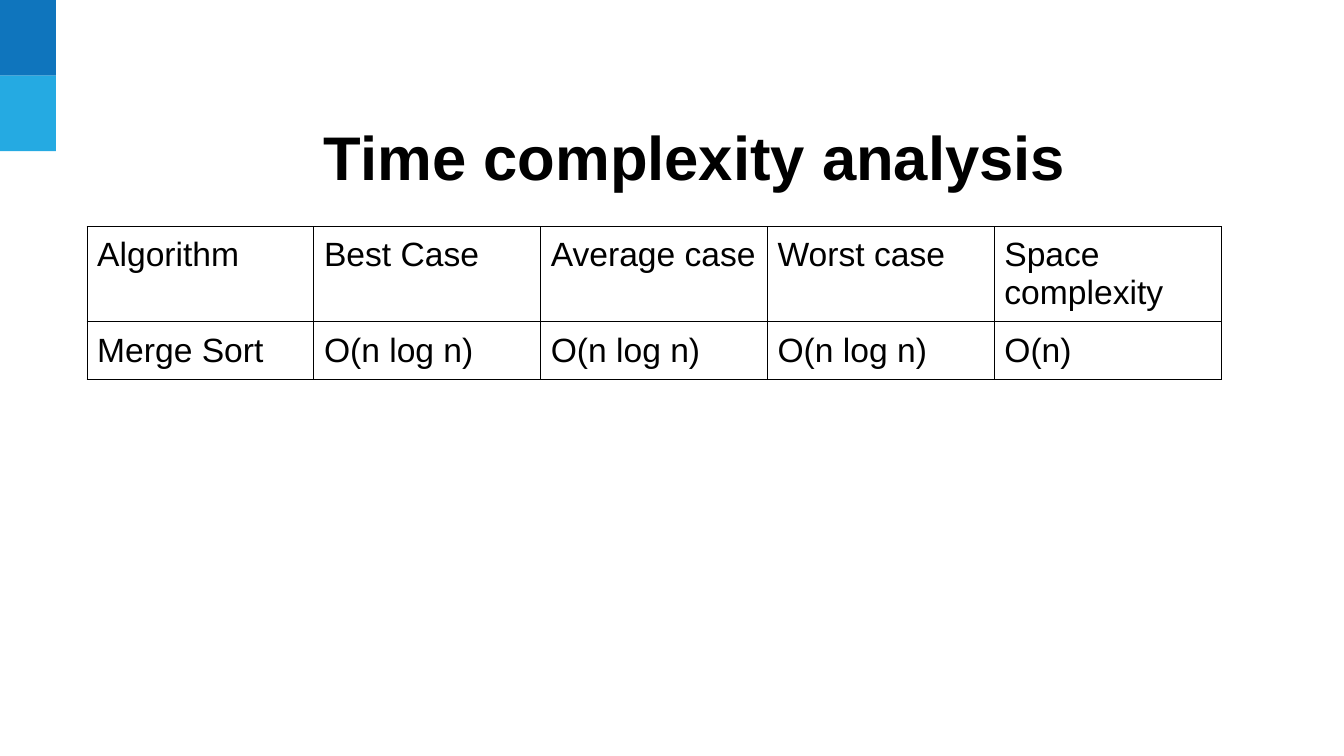
from dataclasses import dataclass

from lxml import etree
from pptx import Presentation
from pptx.dml.color import RGBColor
from pptx.enum.shapes import MSO_SHAPE
from pptx.enum.text import MSO_ANCHOR, PP_ALIGN
from pptx.oxml.ns import qn
from pptx.util import Pt

RECT = MSO_SHAPE.RECTANGLE
MIDDLE = MSO_ANCHOR.MIDDLE
CENTER, LEFT = PP_ALIGN.CENTER, PP_ALIGN.LEFT
COLORS = {"dark": "0F75BD", "light": "25AAE2", "ink": "000000"}
HEAD = {"name": "Arial", "size": Pt(44), "bold": True}
BODY = {"name": "Arial", "size": Pt(24), "bold": False}
PAD = {f"margin_{side}": Pt(7.2) for side in ("left", "right", "top", "bottom")}
ROWS = (
    ("Algorithm", "Best Case", "Average case", "Worst case", "Space complexity"),
    ("Merge Sort", "O(n log n)", "O(n log n)", "O(n log n)", "O(n)"),
)
COL, ROW = 162, 30


@dataclass
class Block:
    """A coloured block in the corner, with its top in points."""
    top: float
    color: str


BLOCKS = (Block(0, "dark"), Block(54, "light"))


def apply(item, form: dict) -> None:
    """Set each attribute named in the format on the item."""
    for key, value in form.items():
        setattr(item, key, value)


def write(frame, text: str, form: dict, align) -> None:
    """Put one formatted line of text into a frame."""
    line = frame.paragraphs[0]
    line.alignment = align
    run = line.add_run()
    run.text = text
    apply(run.font, form)
    run.font.color.rgb = RGBColor.from_string(COLORS["ink"])


def draw_block(slide, block: Block) -> None:
    """Draw one corner block."""
    shape = slide.shapes.add_shape(RECT, 0, Pt(block.top), Pt(40), Pt(54))
    shape.shadow.inherit = False
    shape.fill.solid()
    shape.fill.fore_color.rgb = RGBColor.from_string(COLORS[block.color])
    shape.line.fill.background()


def draw_title(slide, text: str) -> None:
    """Place and write the slide title."""
    title = slide.shapes.title
    apply(title, {"left": Pt(181.5), "top": Pt(78.5), "width": Pt(630), "height": Pt(65)})
    apply(title.text_frame, {"vertical_anchor": MIDDLE, "word_wrap": True})
    write(title.text_frame, text, HEAD, CENTER)


def add_edges(cell) -> None:
    """Rule all four sides of a cell."""
    props = cell._tc.get_or_add_tcPr()
    for spot, side in enumerate(("lnL", "lnR", "lnT", "lnB")):
        edge = etree.Element(qn(f"a:{side}"), w=str(Pt(0.75)))
        fill = etree.SubElement(edge, qn("a:solidFill"))
        etree.SubElement(fill, qn("a:srgbClr"), val=COLORS["ink"])
        props.insert(spot, edge)


def draw_table(slide, rows: tuple) -> None:
    """Draw the ruled table of running times."""
    high, wide = len(rows), len(rows[0])
    frame = slide.shapes.add_table(
        high, wide, Pt(62.25), Pt(161.75), Pt(COL * wide), Pt(ROW * high))
    table = frame.table
    apply(table, {"first_row": False, "horz_banding": False})
    for down, row in enumerate(rows):
        for across, text in enumerate(row):
            cell = table.cell(down, across)
            apply(cell, PAD)
            cell.fill.background()
            write(cell.text_frame, text, BODY, LEFT)
            add_edges(cell)


def main() -> None:
    """Build the slide and save it."""
    deck = Presentation()
    apply(deck, {"slide_width": Pt(960), "slide_height": Pt(540)})
    slide = deck.slides.add_slide(deck.slide_layouts[5])
    for block in BLOCKS:
        draw_block(slide, block)
    draw_title(slide, "Time complexity analysis")
    draw_table(slide, ROWS)
    deck.save("out.pptx")


if __name__ == "__main__":
    main()
